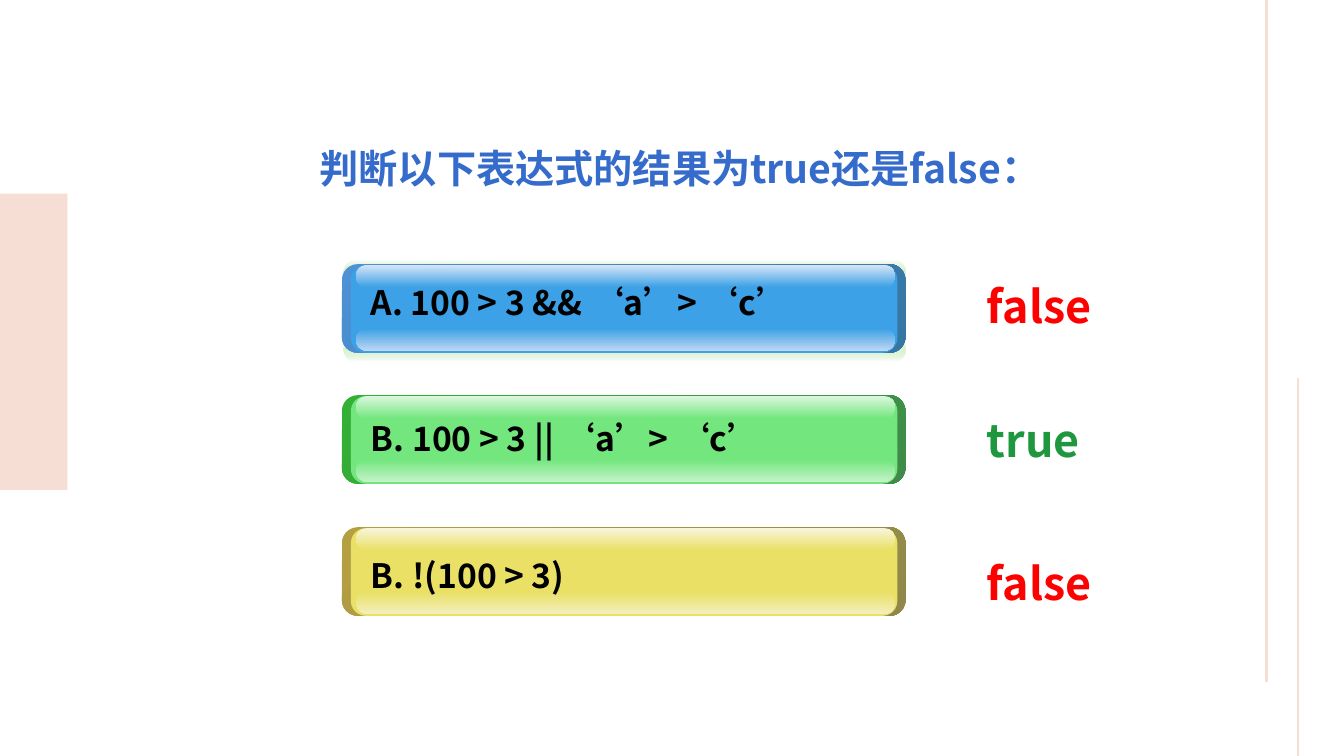
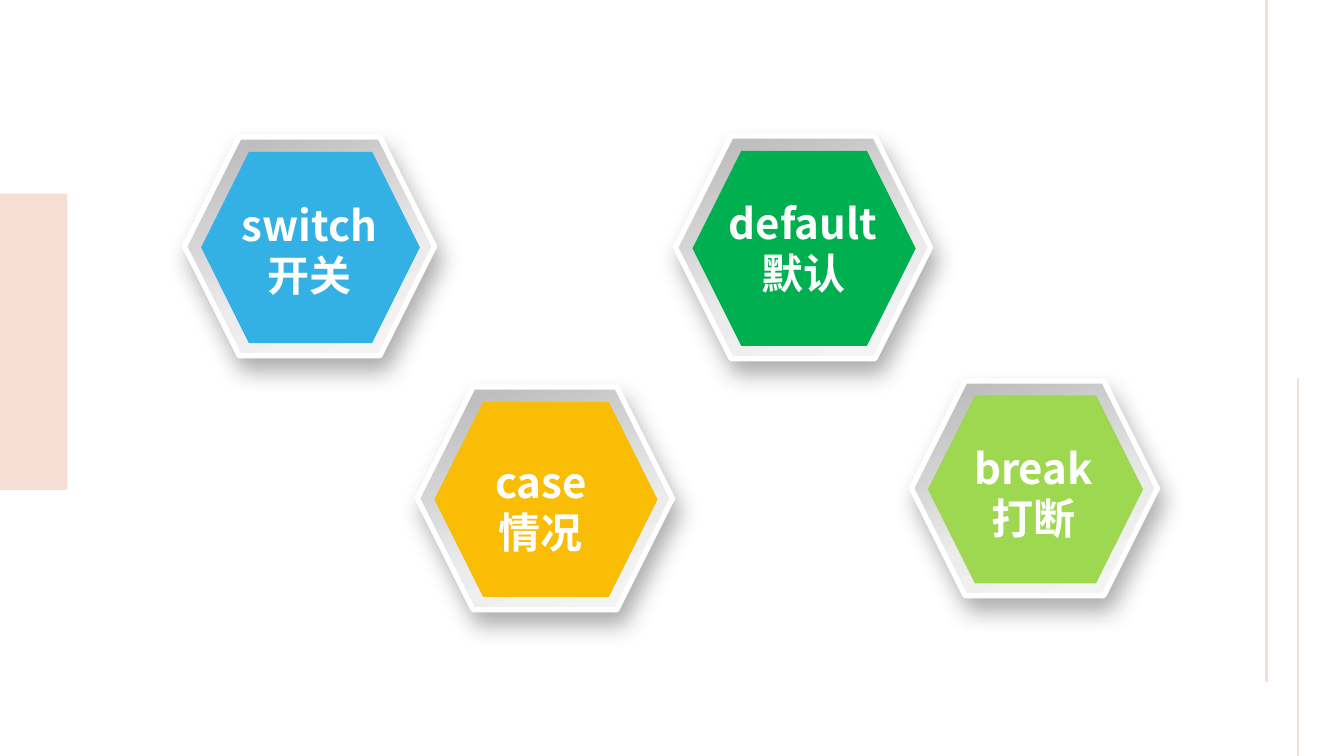
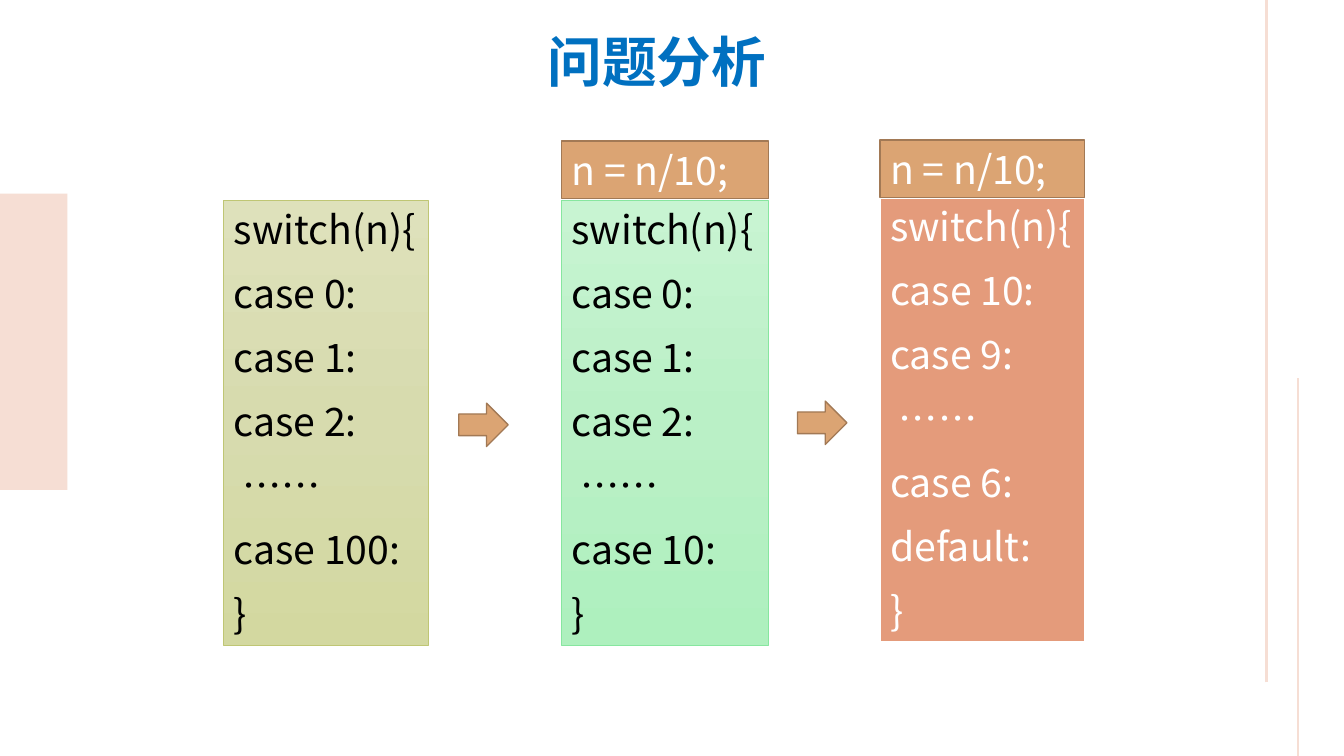
from dataclasses import dataclass

from lxml import etree
from pptx import Presentation
from pptx.dml.color import RGBColor
from pptx.enum import shapes as sh, text as tx
from pptx.oxml.ns import qn
from pptx.util import Inches, Pt


@dataclass(frozen=True)
class Theme:
    font: str = "Noto Sans CJK SC"
    band: str = "F6DED4"
    heading: str = "356BCA"
    title: str = "0070C0"
    dark: str = "000000"
    light: str = "FFFFFF"
    right: str = "1F973E"
    wrong: str = "FF0000"
    glow: str = "6ECC4C"
    accent: str = "DBA473"
    accent_line: str = "A27955"
    shadow: str = "353535"
    rim: tuple = ((9, "BEBEBE"), (63, "ECECEC"), (100, "F7F7F7"))
    title_size: float = 39
    answer_size: float = 32
    badge_size: float = 30
    body_size: float = 28
    label_size: float = 24


THEME = Theme()


@dataclass(frozen=True)
class ButtonColors:
    rim: tuple
    face: str
    top: str
    bottom: str


BLUE = ButtonColors(("4E91D4", "3477A4"), "3CA1E6", "D7E5F7", "BDD6F3")
GREEN = ButtonColors(("34B034", "3F8B4A"), "73E77E", "DDF7DF", "C3F2C7")
YELLOW = ButtonColors(("B59F43", "8F8849"), "E9E065", "F8F5DB", "F3EEBB")


def rgb(color):
    return RGBColor.from_string(color)


def color_node(parent, color, alpha=100):
    node = etree.SubElement(parent, qn("a:srgbClr"), val=color)
    if alpha < 100:
        etree.SubElement(node, qn("a:alpha"), val=str(alpha * 1000))


def fill_gradient(shape, stops, angle):
    """Stops are (percent, colour) or (percent, colour, alpha); angle runs clockwise."""
    shape.fill.background()
    properties = shape.element.spPr
    gradient = etree.Element(qn("a:gradFill"), rotWithShape="1")
    stop_list = etree.SubElement(gradient, qn("a:gsLst"))
    for percent, *color in stops:
        stop = etree.SubElement(stop_list, qn("a:gs"), pos=str(percent * 1000))
        color_node(stop, *color)
    etree.SubElement(gradient, qn("a:lin"), ang=str(angle * 60000), scaled="0")
    properties.replace(properties.find(qn("a:noFill")), gradient)


def add_block(slide, kind, box, fill, line=None, angle=90, corner=None):
    """Fill is a colour or gradient stops; line is (colour, points)."""
    block = slide.shapes.add_shape(kind, *map(Inches, box))
    block.shadow.inherit = False
    if corner is not None:
        block.adjustments[0] = corner
    if isinstance(fill, str):
        block.fill.solid()
        block.fill.fore_color.rgb = rgb(fill)
    else:
        fill_gradient(block, fill, angle)
    if line:
        block.line.color.rgb = rgb(line[0])
        block.line.width = Pt(line[1])
    else:
        block.line.fill.background()
    return block


def write(holder, lines, size, color, bold=False, align=tx.PP_ALIGN.LEFT, gap=0):
    """Fill a text holder, one paragraph a line, with gap points on each side."""
    frame = holder.text_frame
    frame.word_wrap = True
    frame.auto_size = tx.MSO_AUTO_SIZE.NONE
    frame.vertical_anchor = tx.MSO_ANCHOR.TOP
    for index, line in enumerate(lines):
        paragraph = frame.add_paragraph() if index else frame.paragraphs[0]
        paragraph.alignment = align
        paragraph.space_before = Pt(gap if index else 0)
        paragraph.space_after = Pt(gap)
        run = paragraph.add_run()
        run.text = line
        font = run.font
        font.size, font.bold, font.name = Pt(size), bold, THEME.font
        font.color.rgb = rgb(color)
        east_asian = etree.Element(qn("a:ea"), typeface=THEME.font)
        run.font._element.find(qn("a:latin")).addnext(east_asian)


def add_text(slide, box, lines, size, color, **style):
    write(slide.shapes.add_textbox(*map(Inches, box)), lines, size, color, **style)


def add_title(slide, box, words, size, color):
    title = slide.shapes.title
    title.left, title.top, title.width, title.height = map(Inches, box)
    write(title, [words], size, color, bold=True)


def new_slide(deck, titled=True):
    """Add a slide with the side band and the two margin lines."""
    slide = deck.slides.add_slide(deck.slide_layouts[5 if titled else 6])
    add_block(slide, sh.MSO_SHAPE.RECTANGLE, (0, 1.92, 0.67, 2.94), THEME.band)
    for x, start, end, width in ((12.56, 6.77, 0, 2.25), (12.87, 7.5, 3.75, 1.5)):
        margin = slide.shapes.add_connector(
            sh.MSO_CONNECTOR.STRAIGHT, *map(Inches, (x, start, x, end)))
        margin.line.color.rgb = rgb(THEME.band)
        margin.line.width = Pt(width)
        etree.SubElement(margin.element.spPr, qn("a:effectLst"))
    return slide


def add_button(slide, box, colors, glowing=False):
    """Glossy bar: rim, face and a sheen along the lower and upper edge."""
    left, top, width, height = box
    bar = sh.MSO_SHAPE.ROUNDED_RECTANGLE
    if glowing:
        clear, white = (THEME.glow, 0), (THEME.light,)
        for y, start, end in ((top + 0.73, clear, white), (top - 0.04, white, clear)):
            add_block(slide, bar, (left + 0.02, y, width - 0.02, 0.24),
                      ((0, *start), (100, *end)), corner=0.5)
    add_block(slide, bar, box, ((0, colors.rim[0]), (100, colors.rim[1])),
              angle=45, corner=0.18)
    add_block(slide, bar, (left + 0.09, top + 0.01, width - 0.17, height - 0.01),
              colors.face, corner=0.17)
    for y, start, end in ((top + height - 0.24, colors.face, colors.bottom),
                          (top + 0.01, colors.top, colors.face)):
        add_block(slide, bar, (left + 0.14, y, width - 0.24, 0.22),
                  ((0, start), (100, end)), corner=0.5)


def add_badge(slide, box, color, lines, text_shift):
    """Hexagon in a raised frame; text_shift is from the frame's centre and top."""
    left, top, width, height = box
    hexagon = sh.MSO_SHAPE.HEXAGON
    rim = add_block(slide, hexagon, box, THEME.rim, (THEME.light, 3.75), angle=70)
    shadow = etree.SubElement(
        rim.element.spPr.find(qn("a:effectLst")), qn("a:outerShdw"),
        blurRad=str(Pt(16)), dist=str(Pt(10)), dir=str(70 * 60000),
        algn="ctr", rotWithShape="0")
    color_node(shadow, THEME.shadow, 40)
    scale = 0.875
    add_block(slide, hexagon,
              (left + width * (1 - scale) / 2 + 0.01, top + height * (1 - scale) / 2 + 0.01,
               width * scale, height * scale), color)
    text_width = 3.3
    text_left = left + (width - text_width) / 2 + text_shift[0]
    add_text(slide, (text_left, top + text_shift[1], text_width, 1.11), lines,
             THEME.badge_size, THEME.light, bold=True, align=tx.PP_ALIGN.CENTER)


def add_code(slide, box, lines, fill, line, color):
    panel = add_block(slide, sh.MSO_SHAPE.RECTANGLE, box, fill, line)
    write(panel, lines, THEME.body_size, color, gap=6)


def quiz_slide(deck):
    slide = new_slide(deck)
    add_title(slide, (3.07, 1.38, 7.4, 0.57), "判断以下表达式的结果为true还是false：",
              THEME.body_size, THEME.heading)
    questions = (
        (2.62, BLUE, "A. 100 > 3 && ‘a’> ‘c’", 0.13, "false", 0.1),
        (3.92, GREEN, "B. 100 > 3 || ‘a’> ‘c’", 0.18, "true", 0.13),
        (5.23, YELLOW, "B. !(100 > 3)", 0.23, "false", 0.23),
    )
    for top, colors, expression, label_drop, answer, answer_drop in questions:
        add_button(slide, (3.39, top, 5.59, 0.88), colors, glowing=colors is BLUE)
        add_text(slide, (3.58, top + label_drop, 5.4, 0.5), [expression],
                 THEME.label_size, THEME.dark, bold=True)
        add_text(slide, (9.69, top + answer_drop, 1.45, 0.64), [answer], THEME.answer_size,
                 THEME.right if answer == "true" else THEME.wrong, bold=True)


def keyword_slide(deck):
    slide = new_slide(deck, titled=False)
    badges = (
        ((1.83, 1.36, 2.48, 2.17), "33B0E4", ("switch", "开关"), (0, 0.57)),
        ((4.14, 3.84, 2.53, 2.21), "F9BD06", ("case", "情况"), (-0.04, 0.64)),
        ((9.04, 3.78, 2.44, 2.13), "9ED850", ("break", "打断"), (-0.01, 0.56)),
        ((6.7, 1.35, 2.53, 2.21), "00B050", ("default", "默认"), (0, 0.56)),
    )
    for badge in badges:
        add_badge(slide, *badge)


def analysis_slide(deck):
    slide = new_slide(deck)
    add_title(slide, (5.33, 0.23, 2.58, 0.76), "问题分析", THEME.title_size, THEME.title)
    olive = ((0, "DEE1BB"), (50, "D7DBAE"), (100, "D3D8A0"))
    mint = ((0, "C8F4D2"), (50, "BAF0C6"), (100, "AEF0BE"))
    low_cases = ("case 0:", "case 1:", "case 2:", " ……")
    high_cases = ("case 10:", "case 9:", " ……", "case 6:", "default:")
    panels = (
        (2.22, 1.99, 2.03, (*low_cases, "case 100:"), olive, ("BFC674", 0.5), THEME.dark),
        (5.57, 1.99, 2.05, (*low_cases, "case 10:"), mint, ("87E69F", 0.5), THEME.dark),
        (8.73, 1.96, 2.03, high_cases, "E49B7B", (THEME.light, 1.5), THEME.light),
    )
    for left, top, width, cases, fill, line, color in panels:
        add_code(slide, (left, top, width, 4.41), ("switch(n){", *cases, "}"),
                 fill, line, color)
    outline = (THEME.accent_line, 1)
    for left, top, width in ((5.57, 1.4, 2.05), (8.73, 1.39, 2.03)):
        add_code(slide, (left, top, width, 0.57), ["n = n/10;"],
                 THEME.accent, outline, THEME.light)
    for left, top in ((4.55, 4), (7.91, 3.98)):
        add_block(slide, sh.MSO_SHAPE.RIGHT_ARROW, (left, top, 0.49, 0.43),
                  THEME.accent, outline)


def main():
    deck = Presentation()
    deck.slide_width, deck.slide_height = Inches(13.33), Inches(7.5)
    quiz_slide(deck)
    keyword_slide(deck)
    analysis_slide(deck)
    deck.save("out.pptx")


if __name__ == "__main__":
    main()
